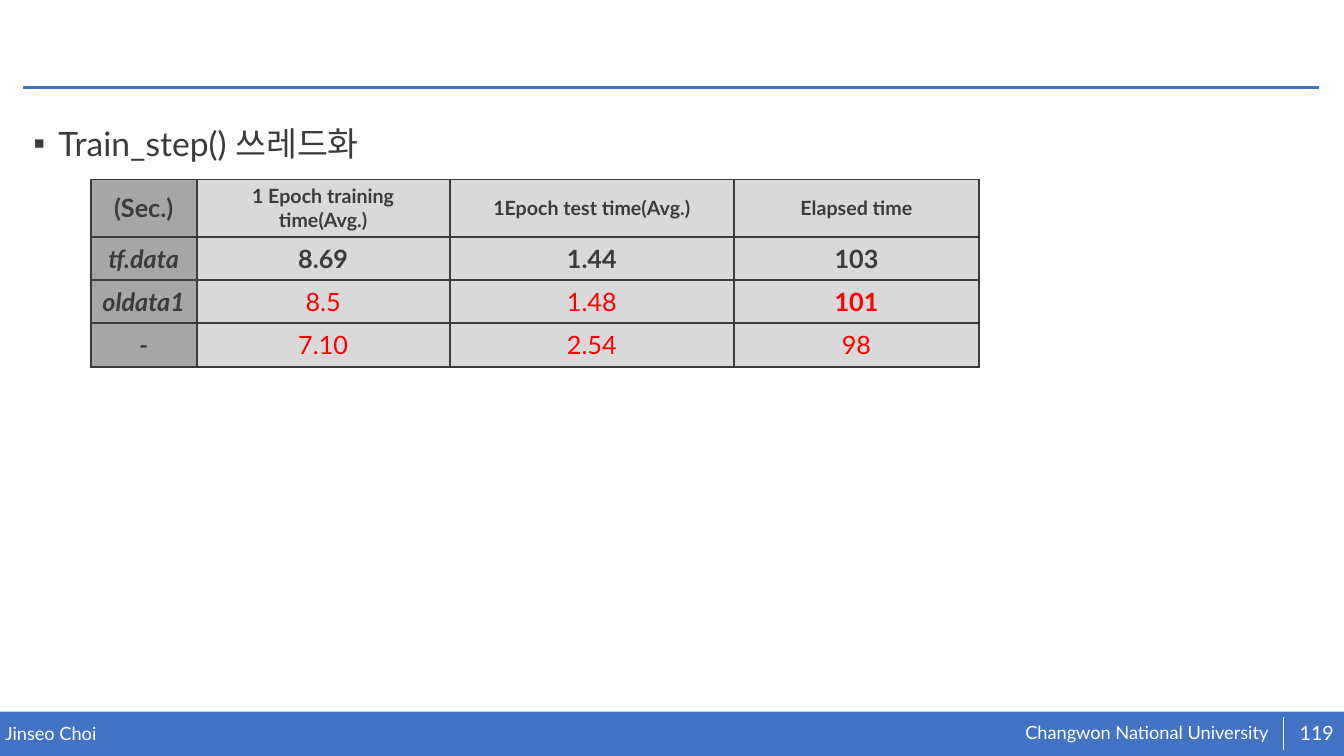
import pptx
import pptx.dml.color
import pptx.enum.shapes
import pptx.enum.text
import pptx.oxml
import pptx.oxml.ns
import pptx.util
from lxml import etree

Inches = pptx.util.Inches
Pt = pptx.util.Pt
PP_ALIGN = pptx.enum.text.PP_ALIGN
MSO_ANCHOR = pptx.enum.text.MSO_ANCHOR

FONT = "Lato"
COLORS = {"blue": "4472C4", "white": "FFFFFF", "ink": "3B3B3B",
          "red": "FF0000", "label": "A6A6A6", "value": "D9D9D9"}
COL_WIDTHS = [1.05, 2.51, 2.82, 2.43]
ROW_HEIGHTS = [0.38, 0.43, 0.43, 0.43]
TIMES = [
    ["(Sec.)", "1 Epoch training time(Avg.)", "1Epoch test time(Avg.)", "Elapsed time"],
    ["tf.data", "8.69", "1.44", "103"],
    ["oldata1", "8.5", "1.48", "101"],
    ["-", "7.10", "2.54", "98"],
]


def rgb(name):
    return pptx.dml.color.RGBColor.from_string(COLORS[name])


def format_font(font, color, **values):
    font.color.rgb = rgb(color)
    for key, value in {"name": FONT, **values}.items():
        setattr(font, key, value)


def add_rule(slide, start, end, color, width):
    line = slide.shapes.add_connector(
        pptx.enum.shapes.MSO_CONNECTOR.STRAIGHT, *map(Inches, start + end))
    line.line.color.rgb = rgb(color)
    line.line.width = Pt(width)
    etree.SubElement(line._element.spPr, pptx.oxml.ns.qn("a:effectLst"))


def add_label(slide, box, text, size, align=PP_ALIGN.LEFT, anchor=MSO_ANCHOR.TOP):
    tf = slide.shapes.add_textbox(*map(Inches, box)).text_frame
    margins = dict.fromkeys(
        ["margin_left", "margin_top", "margin_right", "margin_bottom"], 0)
    for key, value in {**margins, "word_wrap": True, "vertical_anchor": anchor}.items():
        setattr(tf, key, value)
    p = tf.paragraphs[0]
    p.text = text
    p.alignment = align
    format_font(p.runs[0].font, "white", size=Pt(size))


def add_footer(slide, left, top, width, height):
    bar = slide.shapes.add_shape(pptx.enum.shapes.MSO_SHAPE.RECTANGLE,
                                 *map(Inches, (left, top, width, height)))
    bar.shadow.inherit = False
    bar.fill.solid()
    bar.fill.fore_color.rgb = rgb("blue")
    bar.line.fill.background()

    right = left + width
    add_label(slide, (left + 0.05, top + 0.11, 6.55, 0.22), "Jinseo Choi", 13)
    add_label(slide, (right - 3.16, top + 0.1, 2.67, 0.23),
              "Changwon National University", 13)
    add_rule(slide, (right - 0.6, top + 0.05), (right - 0.6, top + 0.38), "white", 0.5)
    add_label(slide, (right - 0.51, top + 0.01, 0.48, 0.4), "119", 14,
              PP_ALIGN.CENTER, MSO_ANCHOR.MIDDLE)


def fill_body(body, left, top, width, height):
    box = {"left": left, "top": top, "width": width, "height": height}
    for key, value in box.items():
        setattr(body, key, Inches(value))
    tf = body.text_frame
    tf.auto_size = pptx.enum.text.MSO_AUTO_SIZE.NONE
    p = tf.paragraphs[0]
    p.text = "Train_step() 쓰레드화"
    for key, value in {"line_spacing": 1.4, "space_before": Pt(0)}.items():
        setattr(p, key, value)
    # Square bullet with a hanging indent
    pPr = p._p.get_or_add_pPr()
    pPr.set("marL", str(Inches(0.25)))
    pPr.set("indent", str(Inches(-0.25)))
    etree.SubElement(pPr, pptx.oxml.ns.qn("a:buChar"), char="▪")
    format_font(p.runs[0].font, "ink", size=Pt(24))


def add_borders(cell):
    tcPr = cell._tc.get_or_add_tcPr()
    for i, side in enumerate(("lnL", "lnR", "lnT", "lnB")):
        tcPr.insert(i, pptx.oxml.parse_xml(
            f'<a:{side} {pptx.oxml.ns.nsdecls("a")} w="{Pt(1.5)}"><a:solidFill>'
            f'<a:srgbClr val="{COLORS["ink"]}"/></a:solidFill></a:{side}>'))


def add_times_table(slide, left, top):
    box = (left, top, sum(COL_WIDTHS), sum(ROW_HEIGHTS))
    table = slide.shapes.add_table(
        len(TIMES), len(COL_WIDTHS), *map(Inches, box)).table
    for column, width in zip(table.columns, COL_WIDTHS):
        column.width = Inches(width)
    for row, height in zip(table.rows, ROW_HEIGHTS):
        row.height = Inches(height)
    for i, texts in enumerate(TIMES):
        for j, text in enumerate(texts):
            is_label = j == 0
            is_red = i >= 2 and not is_label
            cell = table.cell(i, j)
            cell.fill.solid()
            cell.fill.fore_color.rgb = rgb("label" if is_label else "value")
            cell.vertical_anchor = MSO_ANCHOR.MIDDLE
            add_borders(cell)
            p = cell.text_frame.paragraphs[0]
            p.text = text
            p.alignment = PP_ALIGN.CENTER
            format_font(p.runs[0].font, "red" if is_red else "ink",
                        size=Pt(14 if i == 0 and not is_label else 18),
                        bold=not is_red or text == "101",
                        italic=is_label and i > 0)


def main():
    prs = pptx.Presentation()
    prs.slide_width = Inches(13.33)
    prs.slide_height = Inches(7.5)
    slide = prs.slides.add_slide(prs.slide_layouts[1])

    # The slide has no title text
    title = slide.shapes.title._element
    title.getparent().remove(title)

    # Frame, bullet and timing table
    add_footer(slide, 0, 7.06, 13.33, 0.44)
    add_rule(slide, (0.23, 0.87), (13.08, 0.87), "blue", 2)
    fill_body(slide.placeholders[1], 0.23, 1.01, 12.86, 5.63)
    add_times_table(slide, 0.9, 1.78)
    prs.save("out.pptx")


if __name__ == "__main__":
    main()
